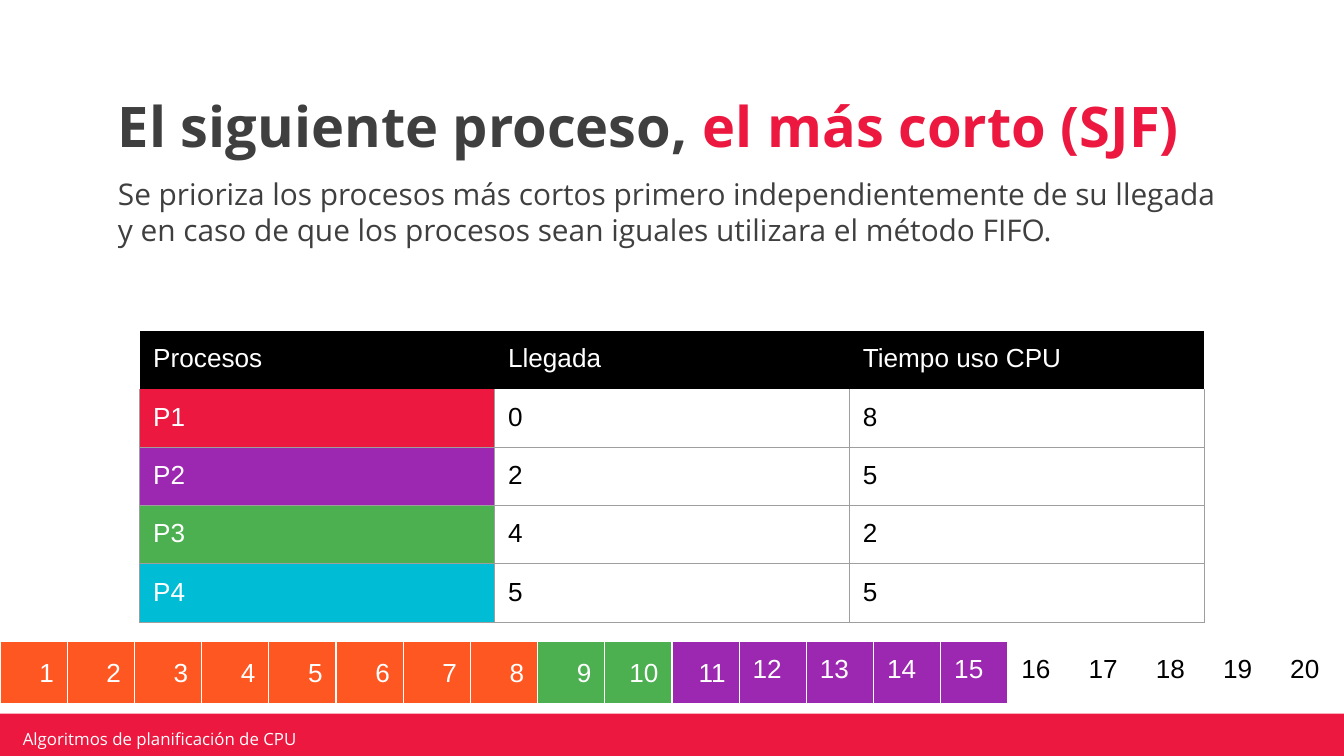
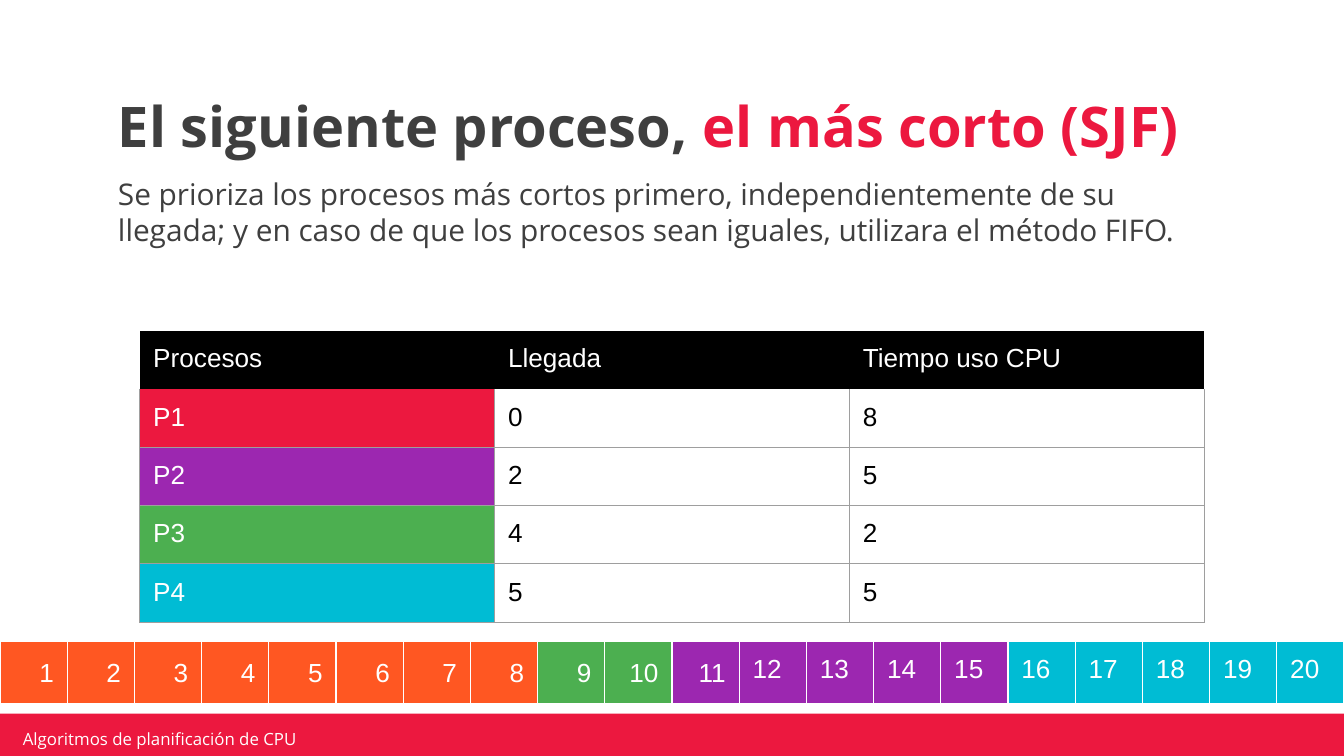
from dataclasses import dataclass

from lxml import etree
from pptx import Presentation
from pptx import util as u
from pptx.dml.color import RGBColor
from pptx.enum import shapes, text
from pptx.oxml import ns


@dataclass(frozen=True)
class Theme:
    red: str = "EC183F"
    purple: str = "9C27B0"
    green: str = "4CAF50"
    cyan: str = "00BCD4"
    orange: str = "FF5722"
    dark: str = "3F3F3F"
    grey: str = "9E9E9E"
    black: str = "000000"
    white: str = "FFFFFF"
    heading_font: str = "Open Sans"
    table_font: str = "Arial"
    title_size: float = 30
    body_size: float = 16
    table_size: float = 14
    footer_size: float = 9
    border_width: float = 0.75


THEME = Theme()
PLAIN_TABLE = "{2D5ABB26-0587-4C30-8999-92F81FD0307C}"
TITLE = ("El siguiente proceso, ", "el más corto (SJF)")
FOOTER = "Algoritmos de planificación de CPU"
HEADERS = ("Procesos", "Llegada", "Tiempo uso CPU")
PROCESSES = (
    ("P1", 0, 8, THEME.red),
    ("P2", 2, 5, THEME.purple),
    ("P3", 4, 2, THEME.green),
    ("P4", 5, 5, THEME.cyan),
)
RUNS = ((THEME.orange, 8), (THEME.green, 2), (THEME.purple, 5))
LAST_RUN = 5
RIGHT_ALIGNED = 11
PAGES = (
    ("Se prioriza los procesos más cortos primero independientemente de su "
     "llegada y en caso de que los procesos sean iguales utilizara el método "
     "FIFO.", THEME.white),
    ("Se prioriza los procesos más cortos primero, independientemente de su "
     "llegada; y en caso de que los procesos sean iguales, utilizara el método "
     "FIFO.", THEME.cyan),
)


def apply_format(target, values):
    for name, value in values.items():
        setattr(target, name, value)


def paint(fill, color):
    fill.solid()
    fill.fore_color.rgb = RGBColor.from_string(color)


def add_span(para, words, color, size, font=THEME.heading_font, bold=False):
    span = para.add_run()
    span.text = words
    apply_format(span.font, {"name": font, "size": u.Pt(size), "bold": bold})
    span.font.color.rgb = RGBColor.from_string(color)


def add_text(page, place, spans, size, inset=(0.1, 0.1), bold=False,
             anchor=text.MSO_ANCHOR.TOP, **spacing):
    box = page.shapes.add_textbox(*map(u.Inches, place))
    across, down = map(u.Inches, inset)
    apply_format(box.text_frame, {
        "word_wrap": True,
        "vertical_anchor": anchor,
        "margin_left": across,
        "margin_right": across,
        "margin_top": down,
        "margin_bottom": down,
    })
    para = box.text_frame.paragraphs[0]
    apply_format(para, spacing)
    for words, color in spans:
        add_span(para, words, color, size, bold=bold)


def add_footer(page):
    band = page.shapes.add_shape(
        shapes.MSO_SHAPE.RECTANGLE,
        *map(u.Inches, (-0.02, 5.31, 10.03, 0.36)))
    band.shadow.inherit = False
    paint(band.fill, THEME.red)
    band.line.fill.background()
    add_text(page, (0.12, 5.42, 2.39, 0.15), [(FOOTER, THEME.white)],
             THEME.footer_size, inset=(0.05, 0.02),
             anchor=text.MSO_ANCHOR.MIDDLE)


def add_grid(page, left, top, column_width, row_height, columns, rows):
    frame = page.shapes.add_table(
        rows, columns, u.Inches(left), u.Inches(top),
        u.Inches(column_width * columns), u.Inches(row_height * rows))
    table = frame.table
    apply_format(table, {"first_row": False, "horz_banding": False})
    style = table._tbl.tblPr.find(ns.qn("a:tableStyleId"))
    style.text = PLAIN_TABLE
    return table


def set_borders(cell, color, sides):
    properties = cell._tc.get_or_add_tcPr()
    for side in sides:
        line = etree.SubElement(properties, ns.qn(f"a:ln{side}"),
                                w=str(u.Pt(THEME.border_width)))
        fill = etree.SubElement(line, ns.qn("a:solidFill"))
        etree.SubElement(fill, ns.qn("a:srgbClr"), val=color)


def fill_cell(cell, words, fill, ink, border, sides="LRTB", **spacing):
    margin = u.Inches(0.1)
    apply_format(cell, {f"margin_{side}": margin
                        for side in ("left", "right", "top", "bottom")})
    set_borders(cell, border, sides)
    if fill:
        paint(cell.fill, fill)
    else:
        cell.fill.background()
    para = cell.text_frame.paragraphs[0]
    apply_format(para, spacing)
    add_span(para, str(words), ink, THEME.table_size, THEME.table_font)


def add_process_table(page):
    table = add_grid(page, 1.04, 2.46, 2.64, 0.42,
                     len(HEADERS), len(PROCESSES) + 1)
    for column, words in enumerate(HEADERS):
        fill_cell(table.cell(0, column), words, THEME.black, THEME.white,
                  THEME.black, sides="")
    for row, (name, arrival, duration, color) in enumerate(PROCESSES, 1):
        sides = "LRB" if row == 1 else "LRTB"
        fill_cell(table.cell(row, 0), name, color, THEME.white, THEME.grey,
                  sides)
        for column, value in enumerate((arrival, duration), 1):
            fill_cell(table.cell(row, column), value, None, THEME.black,
                      THEME.grey, sides)


def add_timeline(page, last_color):
    colors = [color for color, length in (*RUNS, (last_color, LAST_RUN))
              for _ in range(length)]
    table = add_grid(page, 0, 4.77, 0.5, 0.21, len(colors), 1)
    for unit, color in enumerate(colors, 1):
        ink = THEME.black if color == THEME.white else THEME.white
        spacing = {}
        if unit <= RIGHT_ALIGNED:
            spacing = {"alignment": text.PP_ALIGN.RIGHT, "line_spacing": 1.15}
        fill_cell(table.cell(0, unit - 1), unit, color, ink, THEME.white,
                  **spacing)


def add_page(deck, description, last_color):
    page = deck.slides.add_slide(deck.slide_layouts[6])
    paint(page.background.fill, THEME.white)
    add_footer(page)
    add_text(page, (0.78, 0.6, 8.43, 0.69),
             zip(TITLE, (THEME.dark, THEME.red)), THEME.title_size, bold=True,
             anchor=text.MSO_ANCHOR.BOTTOM, line_spacing=0.9)
    add_text(page, (0.78, 1.21, 8.43, 1.53), [(description, THEME.dark)],
             THEME.body_size, space_before=u.Pt(6))
    add_process_table(page)
    add_timeline(page, last_color)


def main():
    deck = Presentation()
    width = u.Inches(10)
    apply_format(deck, {"slide_width": width,
                        "slide_height": width * 9 // 16})
    for description, last_color in PAGES:
        add_page(deck, description, last_color)
    deck.save("out.pptx")


main()
